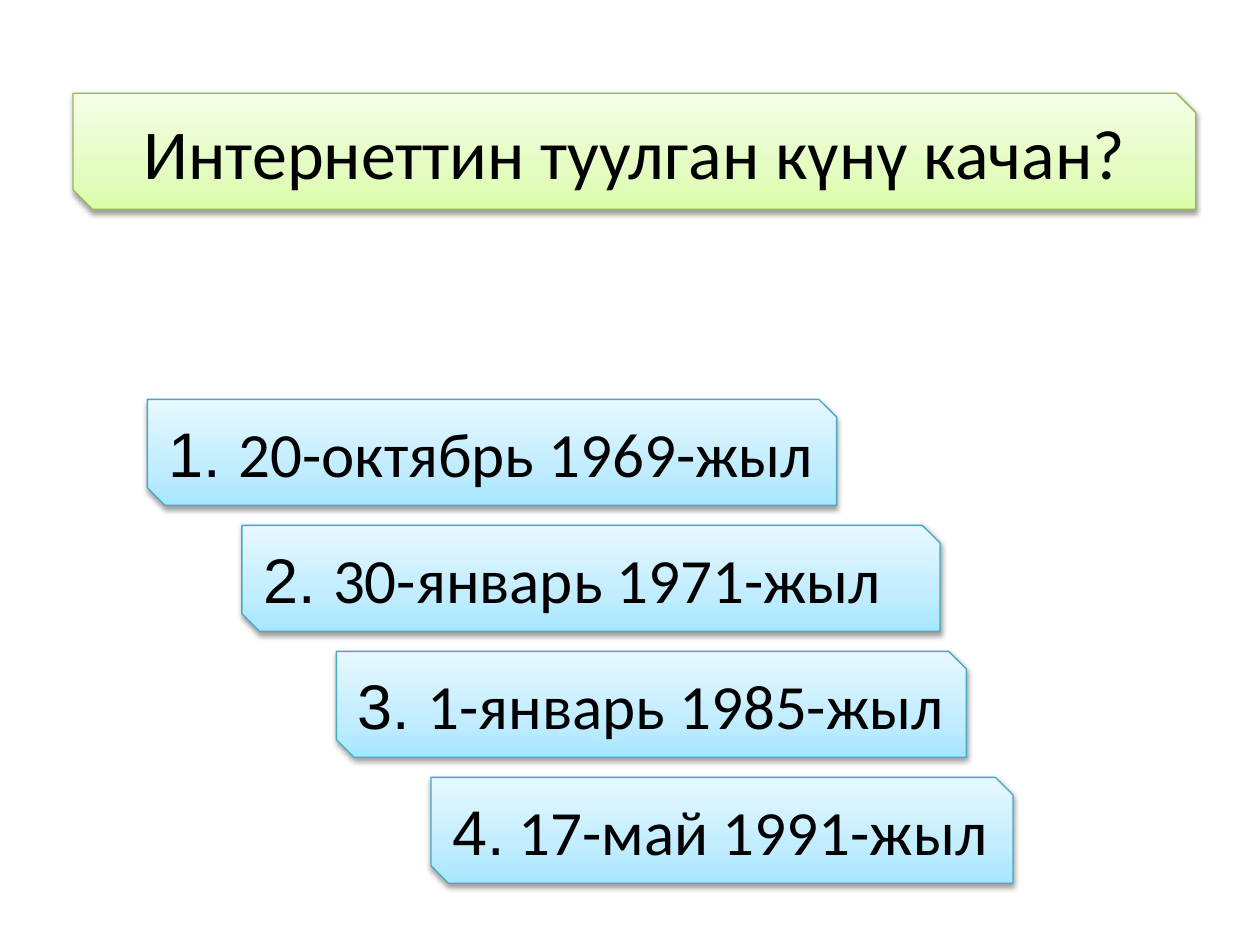
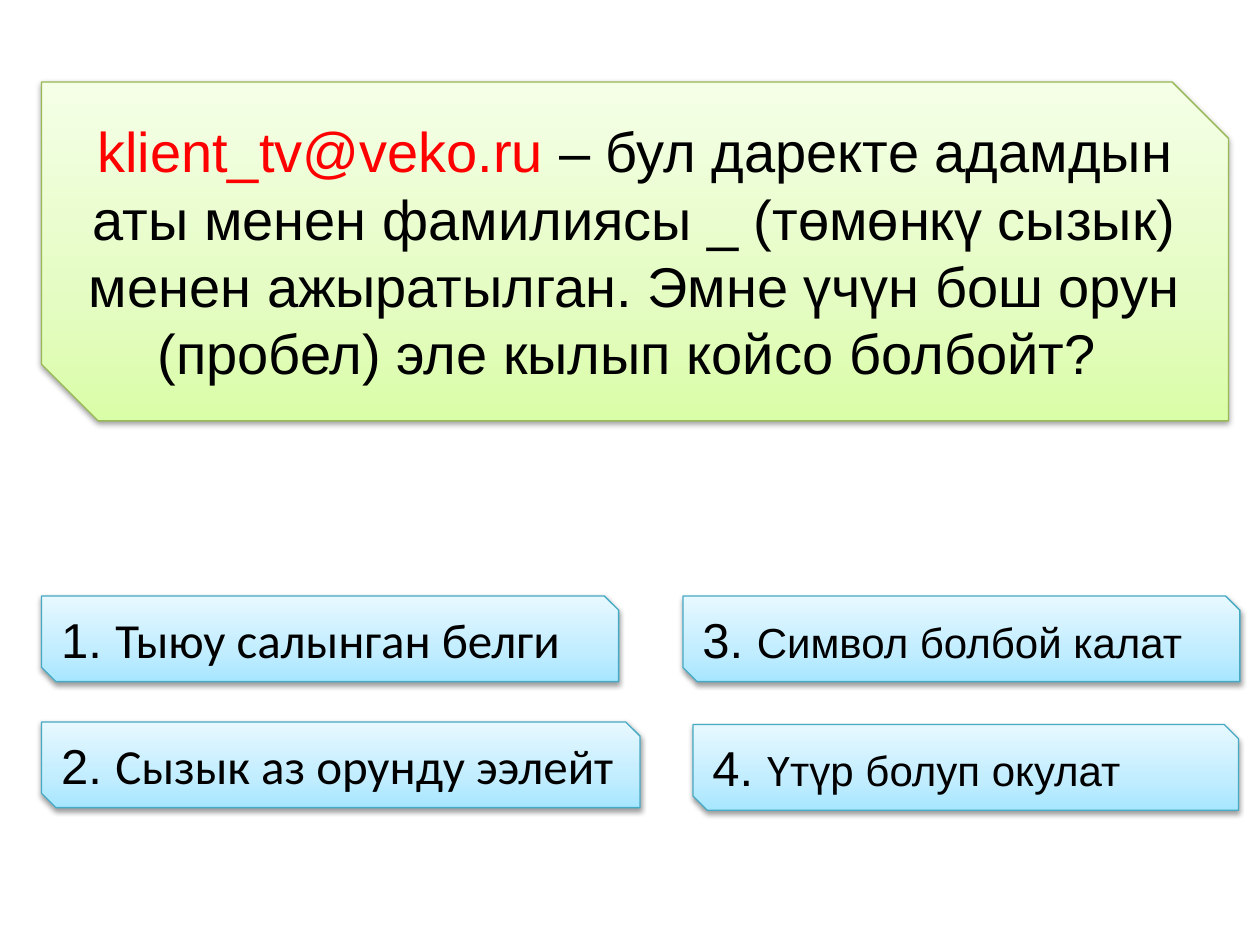
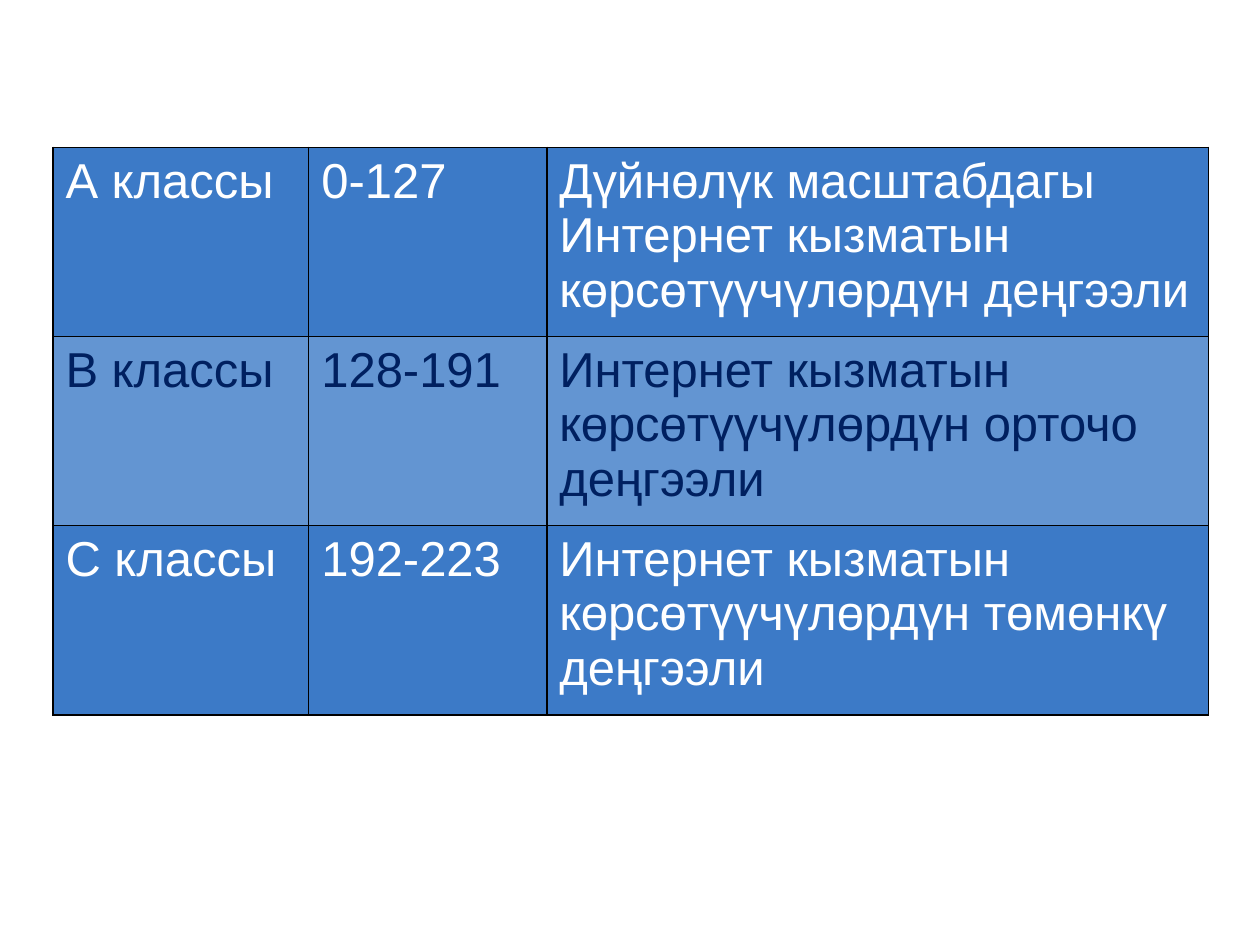
"""Build a three-slide internet quiz: two questions with answers and a table of address classes."""
from copy import deepcopy

from lxml.etree import SubElement
from pptx import Presentation
from pptx.dml.color import RGBColor
from pptx.enum.shapes import MSO_SHAPE as Shape
from pptx.enum.text import MSO_ANCHOR as Anchor, MSO_AUTO_SIZE as Fit, PP_ALIGN as Align
from pptx.oxml.ns import qn
from pptx.util import Inches, Pt

BLACK = RGBColor(0x00, 0x00, 0x00)
WHITE = RGBColor(0xFF, 0xFF, 0xFF)
RED = RGBColor(0xFF, 0x00, 0x00)
NAVY = RGBColor(0x00, 0x20, 0x60)
BLUE = RGBColor(0x3C, 0x7A, 0xC7)
PALE = RGBColor(0x63, 0x95, 0xD2)
LIME = [RGBColor(0xDA, 0xFD, 0xA7), RGBColor(0xE4, 0xFC, 0xC2), RGBColor(0xF5, 0xFF, 0xE7)]
LEAF = RGBColor(0x98, 0xB9, 0x55)
SKY = [RGBColor(0xA7, 0xE6, 0xFF), RGBColor(0xC1, 0xED, 0xFF), RGBColor(0xE7, 0xF8, 0xFF)]
TEAL = RGBColor(0x46, 0xAA, 0xC5)

ASK = {"tones": LIME, "edge": LEAF, "anchor": Anchor.MIDDLE, "align": Align.CENTER}
REPLY = {"tones": SKY, "edge": TEAL, "anchor": Anchor.TOP, "align": Align.LEFT}


def write(para, text, size, face="Arial", color=BLACK):
    run = para.add_run()
    run.text = text
    look = {"size": Pt(size), "name": face, "bold": False}
    for key, value in look.items():
        setattr(run.font, key, value)
    run.font.color.rgb = color


def add_card(slide, box, style, wrap=True):
    card = slide.shapes.add_shape(Shape.SNIP_2_DIAG_RECTANGLE, *map(Inches, box))
    card.fill.gradient()
    card.fill.gradient_angle = 90
    stops = card.element.spPr.find(".//" + qn("a:gsLst"))
    stops.append(deepcopy(stops[0]))
    for stop, tone, spot in zip(card.fill.gradient_stops, style["tones"], (0, 0.35, 1)):
        stop.color.rgb = tone
        stop.position = spot
    card.line.color.rgb = style["edge"]
    card.line.width = Pt(0.75)
    card.shadow.inherit = False
    glow = card.element.spPr.find(qn("a:effectLst"))
    shade = SubElement(glow, qn("a:outerShdw"), blurRad="40000", dist="20000",
                       dir="5400000", rotWithShape="0")
    tint = SubElement(shade, qn("a:srgbClr"), val="000000")
    SubElement(tint, qn("a:alpha"), val="38000")
    frame = card.text_frame
    look = {"word_wrap": wrap, "auto_size": Fit.SHAPE_TO_FIT_TEXT,
            "vertical_anchor": style["anchor"]}
    for key, value in look.items():
        setattr(frame, key, value)
    para = frame.paragraphs[0]
    para.alignment = style["align"]
    return para


deck = Presentation()
deck.slide_width, deck.slide_height = Inches(10), Inches(7.5)
birth, mail, nets = [deck.slides.add_slide(deck.slide_layouts[6]) for _ in range(3)]

para = add_card(birth, (0.58, 0.74, 8.91, 0.92), ASK)
write(para, "Интернеттин туулган күнү качан?", 40, "Calibri")
dates = [
    (5.47, "1. ", "20-октябрь 1969-жыл"),
    (5.54, "2. ", "30-январь 1971-жыл"),
    (5, "3. ", "1-январь 1985-жыл"),
    (4.62, "4.", " 17-май 1991-жыл"),
]
for i, (width, mark, text) in enumerate(dates):
    para = add_card(birth, (1.17 + 0.75 * i, 3.17 + i, width, 0.84), REPLY, False)
    write(para, mark, 36)
    write(para, text, 36, "Calibri")

para = add_card(mail, (0.33, 0.65, 9.42, 2.69), ASK)
write(para, "klient_tv@veko.ru ", 32, color=RED)
write(para, "– бул даректе адамдын аты менен фамилиясы _ (төмөнкү сызык) менен "
      "ажыратылган. Эмне үчүн бош орун (пробел) эле кылып койсо болбойт? ", 32)
claims = [
    (0.33, 4.73, 4.58, "Тыюу салынган белги", 28, "Calibri"),
    (0.33, 5.73, 4.75, "Сызык аз орунду ээлейт", 28, "Calibri"),
    (5.42, 4.73, 4.42, "Символ болбой калат", 24, "Arial"),
    (5.5, 5.75, 4.33, "Үтүр болуп окулат", 24, "Arial"),
]
for i, (left, top, width, text, size, face) in enumerate(claims, 1):
    para = add_card(mail, (left, top, width, 0.68), REPLY)
    write(para, f"{i}. ", 28)
    write(para, text, size, face)

rows = [
    ("А классы", "0-127", "Дүйнөлүк масштабдагы Интернет кызматын көрсөтүүчүлөрдүн деңгээли"),
    ("В классы", "128-191", "Интернет кызматын көрсөтүүчүлөрдүн орточо деңгээли"),
    ("С классы", "192-223", "Интернет кызматын көрсөтүүчүлөрдүн төмөнкү деңгээли"),
]
box = map(Inches, (0.42, 1.17, 9.17, 4.5))
table = nets.shapes.add_table(3, 3, *box).table
table.first_row = table.horz_banding = False
for col, width in zip(table.columns, (2.03, 1.89, 5.25)):
    col.width = Inches(width)
for i, row in enumerate(rows):
    ink, back = (NAVY, PALE) if i % 2 else (WHITE, BLUE)
    for j, text in enumerate(row):
        cell = table.cell(i, j)
        write(cell.text_frame.paragraphs[0], text, 28, color=ink)
        props = cell._tc.get_or_add_tcPr()
        for side in "LRTB":
            line = SubElement(props, qn(f"a:ln{side}"), w="12700")
            SubElement(SubElement(line, qn("a:solidFill")), qn("a:srgbClr"), val=str(BLACK))
        cell.fill.solid()
        cell.fill.fore_color.rgb = back

deck.save("out.pptx")
